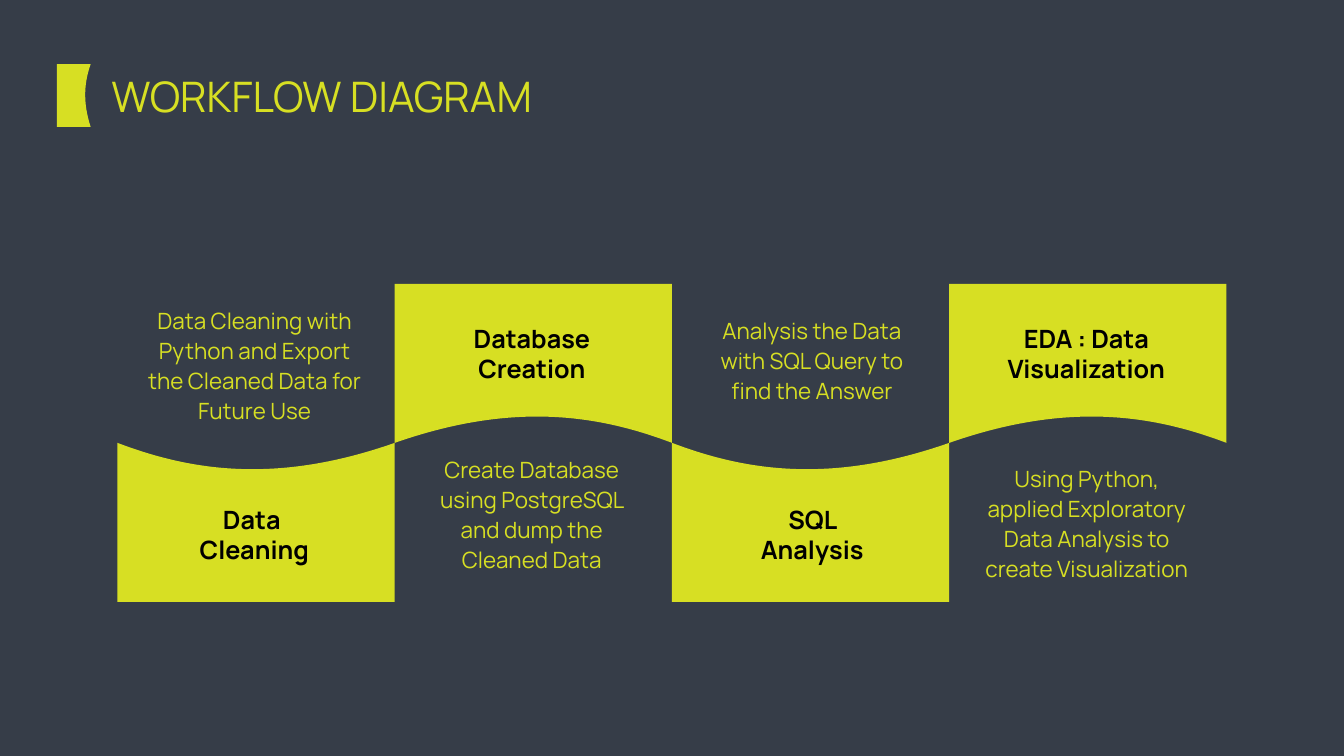
from dataclasses import dataclass

from lxml.etree import SubElement
from pptx import Presentation
from pptx.dml.color import RGBColor
from pptx.enum.text import PP_ALIGN
from pptx.oxml.ns import qn
from pptx.util import Cm, Pt


@dataclass(frozen=True)
class Theme:
    font: str = "Manrope"
    background: RGBColor = RGBColor(0x36, 0x3D, 0x48)
    accent: RGBColor = RGBColor(0xD7, 0xDF, 0x23)
    heading: RGBColor = RGBColor(0, 0, 0)
    title_size: int = 60
    heading_size: int = 36
    caption_size: int = 32
    caption_spacing: int = 43


THEME = Theme()

# Panel band, in cm: upper and lower panels meet at MIDDLE
LEFT, MIDDLE, PANEL_W, PANEL_H = 5.92, 22.32, 13.97, 8.01
WAVE = [(0, 0), (3.81, 1.45), (8.1, 2.06), (PANEL_W, 0)]
HEADING_TOP = {"lower": 25.3, "upper": 16.15}
HEADING_H = 3.33

# Heading lines, heading (left, width), caption, caption (left, top, width, height)
STEPS = [
    (["Data ", "Cleaning"], (9.45, 6.73),
     "Data Cleaning with Python and Export the Cleaned Data for Future Use",
     (6.86, 15.17, 11.94, 6.27)),
    (["Database Creation"], (22.1, 9.4),
     "Create Database using PostgreSQL and dump the Cleaned Data",
     (21.27, 22.68, 11.05, 6.27)),
    (["SQL Analysis"], (37.75, 6.35),
     "Analysis the Data with SQL Query to find the Answer",
     (35.39, 15.67, 11.05, 4.8)),
    (["EDA : Data Visualization"], (50.37, 8.74),
     "Using Python, applied Exploratory Data Analysis to create Visualization",
     (48.92, 23.16, 11.68, 6.32)),
]


def add_text(s, lines, box, size, color, bold=False,
             align=PP_ALIGN.CENTER, spacing=None):
    tf = s.shapes.add_textbox(*map(Cm, box)).text_frame
    tf.word_wrap = True
    for i, line in enumerate(lines):
        p = tf.add_paragraph() if i else tf.paragraphs[0]
        p.alignment = align
        if spacing:
            p.line_spacing = Pt(spacing)
        r = p.add_run()
        r.text = line
        r.font.name = THEME.font
        r.font.size = Pt(size)
        r.font.bold = bold
        r.font.color.rgb = color


def add_outline(s, curve, corners):
    """Draw a shape with one Bezier edge, closed through straight corners."""
    start, *rest = [(Cm(x), Cm(y)) for x, y in curve + corners]
    builder = s.shapes.build_freeform(*start)
    builder.add_line_segments(rest, close=True)
    sp = builder.convert_to_shape()

    # Merge the first three segments into one cubic curve
    path = next(sp.element.iter(qn("a:path")))
    bezier = SubElement(path, qn("a:cubicBezTo"))
    for segment in path.findall(qn("a:lnTo"))[:3]:
        bezier.append(segment[0])
        path.remove(segment)
    path.insert(1, bezier)

    sp.shadow.inherit = False
    sp.fill.solid()
    sp.fill.fore_color.rgb = THEME.accent
    sp.line.fill.background()


def add_title(s):
    left, right, top, bottom = 2.87, 4.57, 3.23, 6.4
    add_outline(s, [(right, top), (4.27, 4.09), (4.14, 5.08), (right, bottom)],
                [(left, bottom), (left, top)])
    add_text(s, ["WORKFLOW DIAGRAM"], (5.36, 3.43, 40.79, 2.82),
             THEME.title_size, THEME.accent, align=PP_ALIGN.LEFT)


def add_panel(s, index, side):
    # An upper panel is a lower one turned by half a circle
    sign = 1 if side == "lower" else -1
    x = LEFT + PANEL_W * (index if sign == 1 else index + 1)

    def place(points):
        return [(x + sign * dx, MIDDLE + sign * dy) for dx, dy in points]

    add_outline(s, place(WAVE), place([(PANEL_W, PANEL_H), (0, PANEL_H)]))


def add_step(s, index, heading, heading_span, caption, caption_box):
    side = "upper" if index % 2 else "lower"
    left, width = heading_span
    add_panel(s, index, side)
    add_text(s, heading, (left, HEADING_TOP[side], width, HEADING_H),
             THEME.heading_size, THEME.heading, bold=True)
    add_text(s, [caption], caption_box, THEME.caption_size, THEME.accent,
             spacing=THEME.caption_spacing)


def main():
    prs = Presentation()
    prs.slide_width, prs.slide_height = Cm(67.72), Cm(38.1)
    s = prs.slides.add_slide(prs.slide_layouts[6])
    s.background.fill.solid()
    s.background.fill.fore_color.rgb = THEME.background

    # Title with its marker
    add_title(s)

    # Workflow steps, alternating below and above the wave
    for index, step in enumerate(STEPS):
        add_step(s, index, *step)

    prs.save("out.pptx")


if __name__ == "__main__":
    main()
